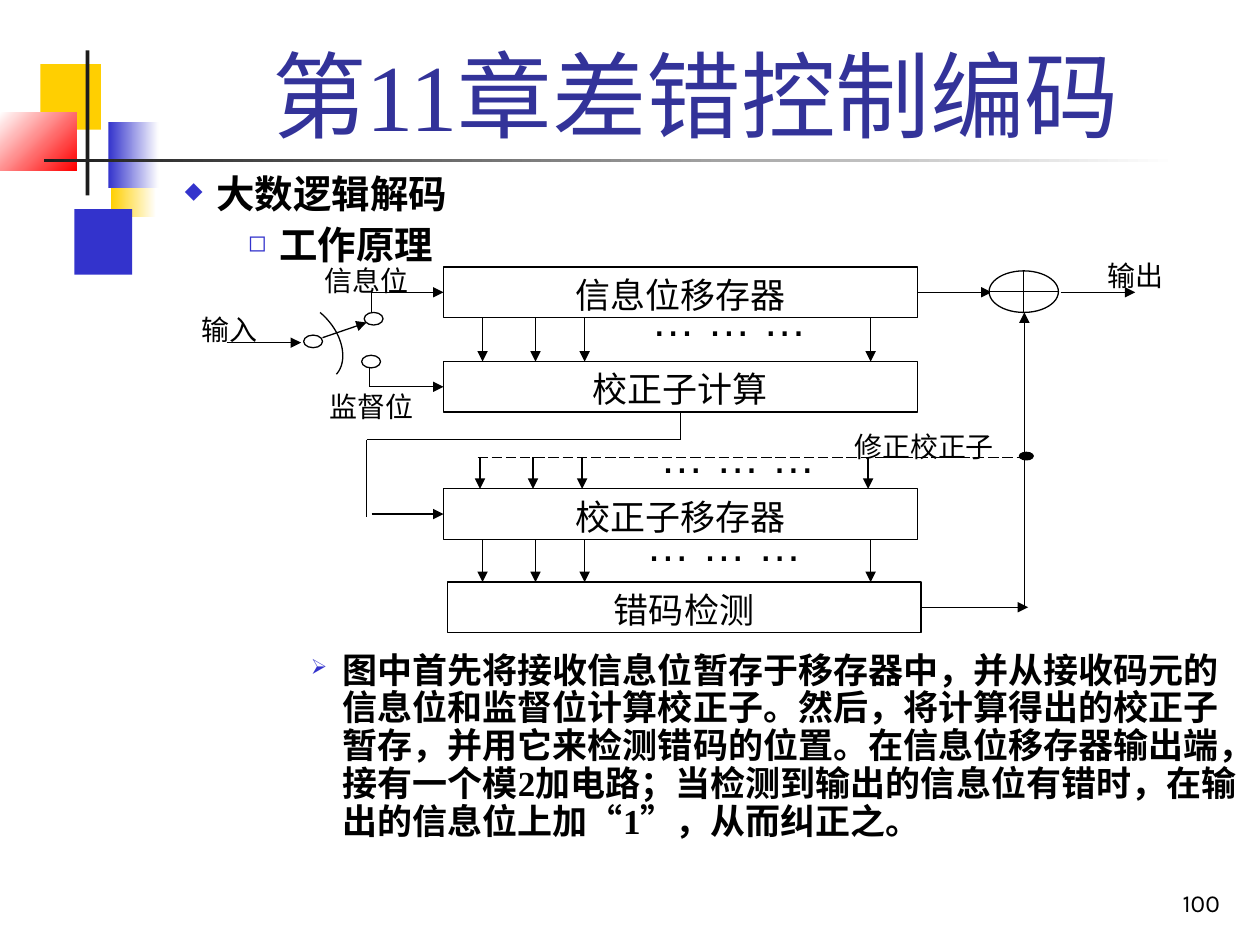
from dataclasses import dataclass

from lxml.etree import SubElement
from pptx import Presentation
from pptx.dml.color import RGBColor as Rgb
from pptx.enum.dml import MSO_LINE_DASH_STYLE as Dash
from pptx.enum.shapes import MSO_CONNECTOR as Connector, MSO_SHAPE as Preset
from pptx.enum.text import MSO_ANCHOR as Anchor, PP_ALIGN as Align
from pptx.oxml.ns import qn
from pptx.util import Inches, Pt


@dataclass(frozen=True)
class Theme:
    black: str = "000000"
    white: str = "FFFFFF"
    title: str = "333399"
    blue: str = "3333CC"
    gold: str = "FFCF01"
    red: str = "FF0000"
    dark: str = "1C1C1C"
    serif: str = "Times New Roman"
    sans: str = "Arial"
    number: str = "Karla"
    title_size: int = 54
    head_size: int = 22
    text_size: int = 20
    label_size: int = 16
    dots_size: int = 25
    number_size: int = 14
    line: float = 0.75


THEME = Theme()
LEFT, TOP, RIGHT, BOTTOM = 1, 0, 3, 2  # connection sites of a rectangle


def color(code):
    return Rgb.from_string(code)


def add_span(para, text, size, font=THEME.serif, code=THEME.black, bold=False):
    span = para.add_run()
    span.text = text
    span.font.size = Pt(size)
    span.font.name = font
    span.font.bold = bold
    span.font.color.rgb = color(code)


def add_text(page, at, text, size, align=Align.CENTER, anchor=Anchor.TOP,
             inset=(0, 0), **style):
    box = page.shapes.add_textbox(*map(Inches, at))
    frame = box.text_frame
    frame.word_wrap = True
    frame.vertical_anchor = anchor
    frame.margin_left = frame.margin_right = Inches(inset[0])
    frame.margin_top = frame.margin_bottom = Inches(inset[1])
    frame.paragraphs[0].alignment = align
    add_span(frame.paragraphs[0], text, size, **style)


def add_bullet(para, text, size, level, mark, before=0):
    props = para._p.get_or_add_pPr()
    props.set("marL", str(Inches(0.25 + 0.5 * level)))
    props.set("indent", str(Inches(-0.25)))
    tint = SubElement(props, qn("a:buClr"))
    SubElement(tint, qn("a:srgbClr"), val=THEME.blue)
    SubElement(props, qn("a:buSzPct"), val="60000")
    SubElement(props, qn("a:buChar"), char=mark)
    para.level = level
    para.line_spacing = 0.9
    para.space_before = Pt(before)
    add_span(para, text, size, bold=True)


def add_block(page, at, *codes, angle=0):
    """A borderless rectangle: one colour is plain, two make a gradient."""
    block = page.shapes.add_shape(Preset.RECTANGLE, *map(Inches, at))
    block.shadow.inherit = False
    block.line.fill.background()
    if len(codes) == 1:
        block.fill.solid()
        block.fill.fore_color.rgb = color(codes[0])
    else:
        block.fill.gradient()
        block.fill.gradient_angle = angle
        for stop, code in zip(block.fill.gradient_stops, codes):
            stop.color.rgb = color(code)


def add_node(page, preset, at, fill=THEME.white):
    node = page.shapes.add_shape(preset, *map(Inches, at))
    node.shadow.inherit = False
    node.fill.solid()
    node.fill.fore_color.rgb = color(fill)
    node.line.color.rgb = color(THEME.black)
    node.line.width = Pt(THEME.line)
    return node


def add_stage(page, left, top, text):
    stage = add_node(page, Preset.RECTANGLE, (left, top, 3.76, 0.4))
    stage.text_frame.vertical_anchor = Anchor.TOP
    para = stage.text_frame.paragraphs[0]
    para.alignment = Align.CENTER
    add_span(para, text, THEME.text_size)
    return stage


def add_wire(page, start, end, arrow=False, dashed=False, source=None, target=None):
    """source and target are optional (shape, site) pairs to join."""
    wire = page.shapes.add_connector(
        Connector.STRAIGHT, *map(Inches, (*start, *end)))
    wire.line.color.rgb = color(THEME.black)
    wire.line.width = Pt(THEME.line)
    if dashed:
        wire.line.dash_style = Dash.LONG_DASH
    if arrow:
        SubElement(wire.line._get_or_add_ln(), qn("a:tailEnd"), type="triangle")
    SubElement(wire._element.spPr, qn("a:effectLst"))
    if source:
        wire.begin_connect(*source)
    if target:
        wire.end_connect(*target)


def add_curve(page, *controls, steps=24):
    """An open cubic curve through evenly sampled points."""
    weights = (1, 3, 3, 1)
    points = []
    for step in range(steps + 1):
        t = step / steps
        points.append([
            Inches(sum(w * (1 - t) ** (3 - i) * t ** i * control[axis]
                       for i, (w, control) in enumerate(zip(weights, controls))))
            for axis in (0, 1)])
    builder = page.shapes.build_freeform(*points[0])
    builder.add_line_segments(points[1:], close=False)
    curve = builder.convert_to_shape()
    curve.shadow.inherit = False
    curve.fill.background()
    curve.line.color.rgb = color(THEME.black)
    curve.line.width = Pt(THEME.line)


def add_decoration(page):
    add_block(page, (0.88, 1.2, 0.36, 0.52), THEME.gold, THEME.white)
    add_block(page, (0.59, 1.66, 0.46, 0.52), THEME.blue)
    add_block(page, (0.32, 0.51, 0.48, 0.52), THEME.gold)
    add_block(page, (0.86, 0.97, 0.4, 0.52), THEME.blue, THEME.white)
    add_block(page, (0, 0.89, 0.61, 0.46), THEME.white, THEME.red, angle=315)
    add_block(page, (0.68, 0.4, 0.03, 1.15), THEME.dark)
    add_block(page, (0.35, 1.26, 9, 0.03), THEME.dark, THEME.white)


def add_body(page):
    box = page.shapes.add_textbox(*map(Inches, (0.37, 1.34, 9.63, 6.16)))
    frame = box.text_frame
    frame.word_wrap = True
    add_bullet(frame.paragraphs[0], "大数逻辑解码", THEME.head_size, 2, "◆")
    add_bullet(frame.add_paragraph(), "工作原理", THEME.head_size, 3, "◻", 5.5)
    # The space before the last paragraph leaves room for the diagram
    add_bullet(frame.add_paragraph(),
               "图中首先将接收信息位暂存于移存器中，并从接收码元的信息位和监督位计算校正子。"
               "然后，将计算得出的校正子暂存，并用它来检测错码的位置。"
               "在信息位移存器输出端，接有一个模2加电路；"
               "当检测到输出的信息位有错时，在输出的信息位上加“1”，从而纠正之。",
               THEME.text_size, 4, "➢", 220)


def add_diagram(page):
    # Stages
    register = add_stage(page, 3.52, 2.12, "信息位移存器")
    syndrome = add_stage(page, 3.52, 2.87, "校正子计算")
    store = add_stage(page, 3.52, 3.88, "校正子移存器")
    detector = add_stage(page, 3.55, 4.62, "错码检测")

    # Parallel lines between stages
    for shift, top, bottom in ((0, 2.52, 2.87), (-0.02, 3.63, 3.88), (0, 4.28, 4.62)):
        for x in (3.83, 4.25, 4.64, 6.91):
            add_wire(page, (x + shift, top), (x + shift, bottom), arrow=True)
    for left, top in ((5.04, 2.32), (5.11, 3.41), (5, 4.11)):
        add_text(page, (left, top, 1.49, 0.51), "… … …", THEME.dots_size, font=THEME.sans)

    # Input switch
    add_wire(page, (2.95, 2.32), (3.52, 2.32), arrow=True, target=(register, LEFT))
    add_wire(page, (2.95, 2.32), (2.95, 2.56))
    add_wire(page, (2.93, 3.07), (3.52, 3.07), arrow=True, target=(syndrome, LEFT))
    add_wire(page, (2.93, 3.07), (2.93, 2.85))
    for left, top in ((2.89, 2.48), (2.87, 2.82), (2.41, 2.66)):
        add_node(page, Preset.OVAL, (left, top, 0.15, 0.1))
    add_wire(page, (1.8, 2.72), (2.39, 2.72), arrow=True)
    add_wire(page, (2.56, 2.68), (2.91, 2.56), arrow=True)
    add_curve(page, (2.54, 2.48), (2.72, 2.63), (2.77, 2.86), (2.67, 2.97))

    # Syndrome into its register
    add_wire(page, (5.4, 3.27), (5.4, 3.49), source=(syndrome, BOTTOM))
    add_wire(page, (5.4, 3.49), (2.91, 3.49))
    add_wire(page, (2.91, 3.49), (2.91, 4.1))
    add_wire(page, (2.95, 4.08), (3.52, 4.08), arrow=True, target=(store, LEFT))

    # Modulo-2 adder, output and feedback
    add_wire(page, (7.28, 2.32), (7.87, 2.32), arrow=True, source=(register, RIGHT))
    add_node(page, Preset.FLOWCHART_OR, (7.85, 2.15, 0.55, 0.33))
    add_wire(page, (8.42, 2.32), (9.01, 2.32), arrow=True)
    add_wire(page, (7.31, 4.82), (8.16, 4.82), arrow=True, source=(detector, RIGHT))
    add_wire(page, (8.13, 4.82), (8.13, 2.48), arrow=True)
    add_wire(page, (3.79, 3.63), (8.2, 3.63), dashed=True)
    add_node(page, Preset.OVAL, (8.09, 3.59, 0.11, 0.06), THEME.black)

    # Labels
    for left, top, width, text in (
            (1.31, 2.48, 1.03, "输入"), (8.5, 2.05, 1.03, "输出"),
            (6.58, 3.41, 1.51, "修正校正子"), (2.43, 2.09, 0.96, "信息位"),
            (2.47, 3.09, 0.96, "监督位")):
        add_text(page, (left, top, width, 0.26), text, THEME.label_size)


def main():
    deck = Presentation()
    deck.slide_width, deck.slide_height = Inches(10), Inches(7.5)
    page = deck.slides.add_slide(deck.slide_layouts[6])
    add_decoration(page)
    add_text(page, (7.7, 6.83, 2.08, 0.5), "100", THEME.number_size, Align.RIGHT,
             Anchor.BOTTOM, (0.1, 0.05), font=THEME.number)
    add_text(page, (1.26, 0.23, 8.52, 1.01), "第11章差错控制编码", THEME.title_size,
             anchor=Anchor.BOTTOM, inset=(0.1, 0.05), code=THEME.title)
    add_body(page)
    add_diagram(page)
    deck.save("out.pptx")


if __name__ == "__main__":
    main()
